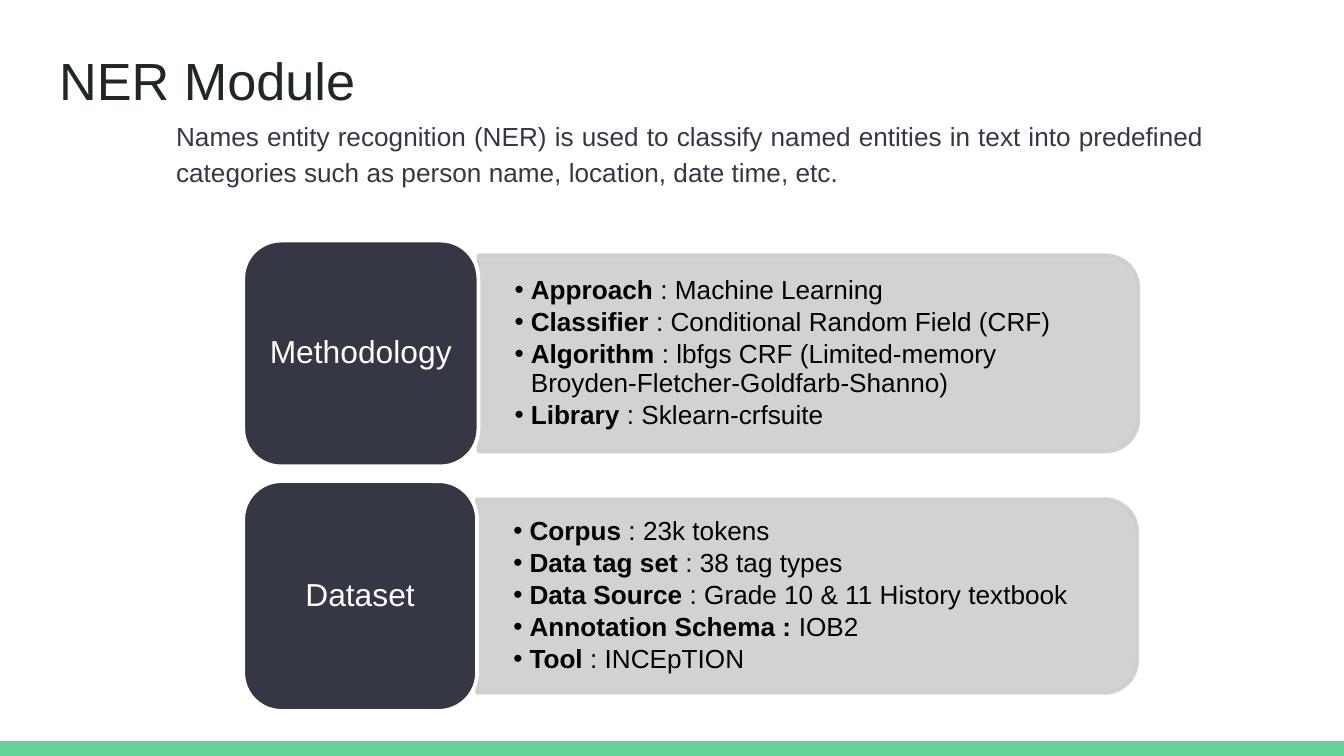
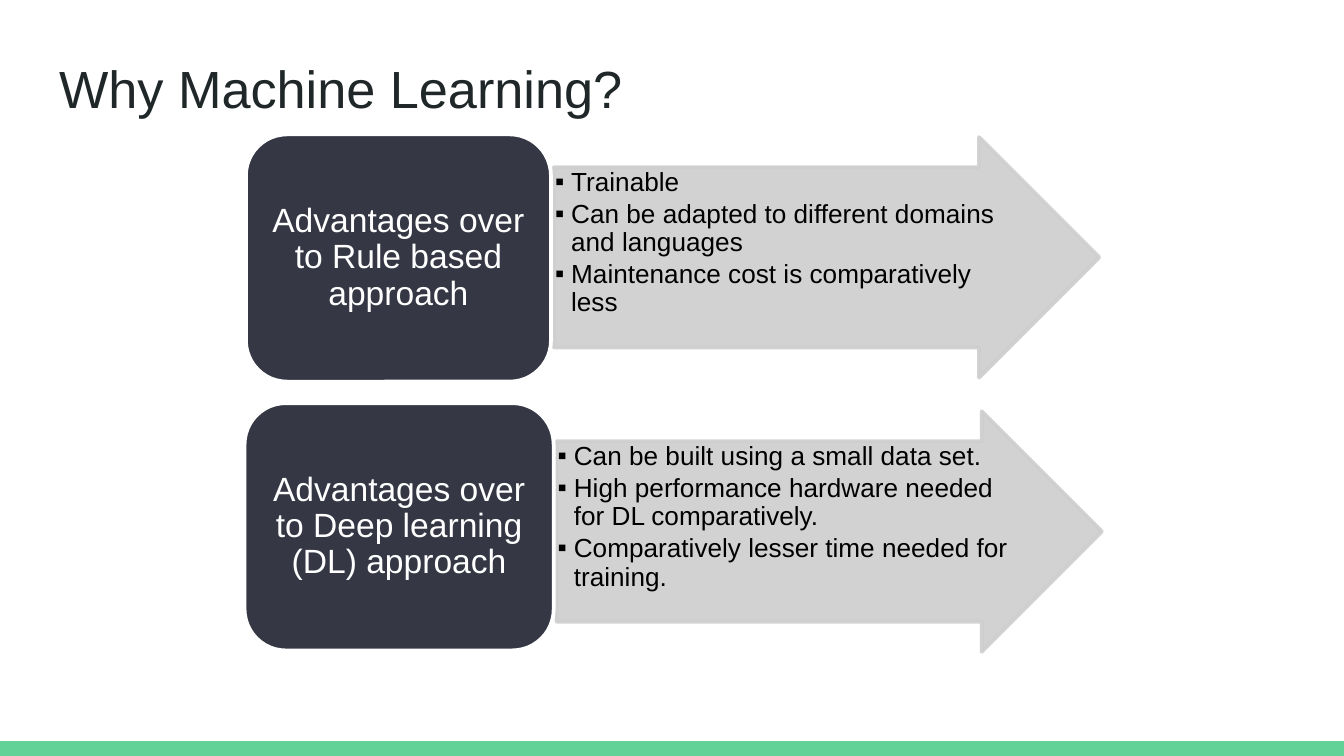
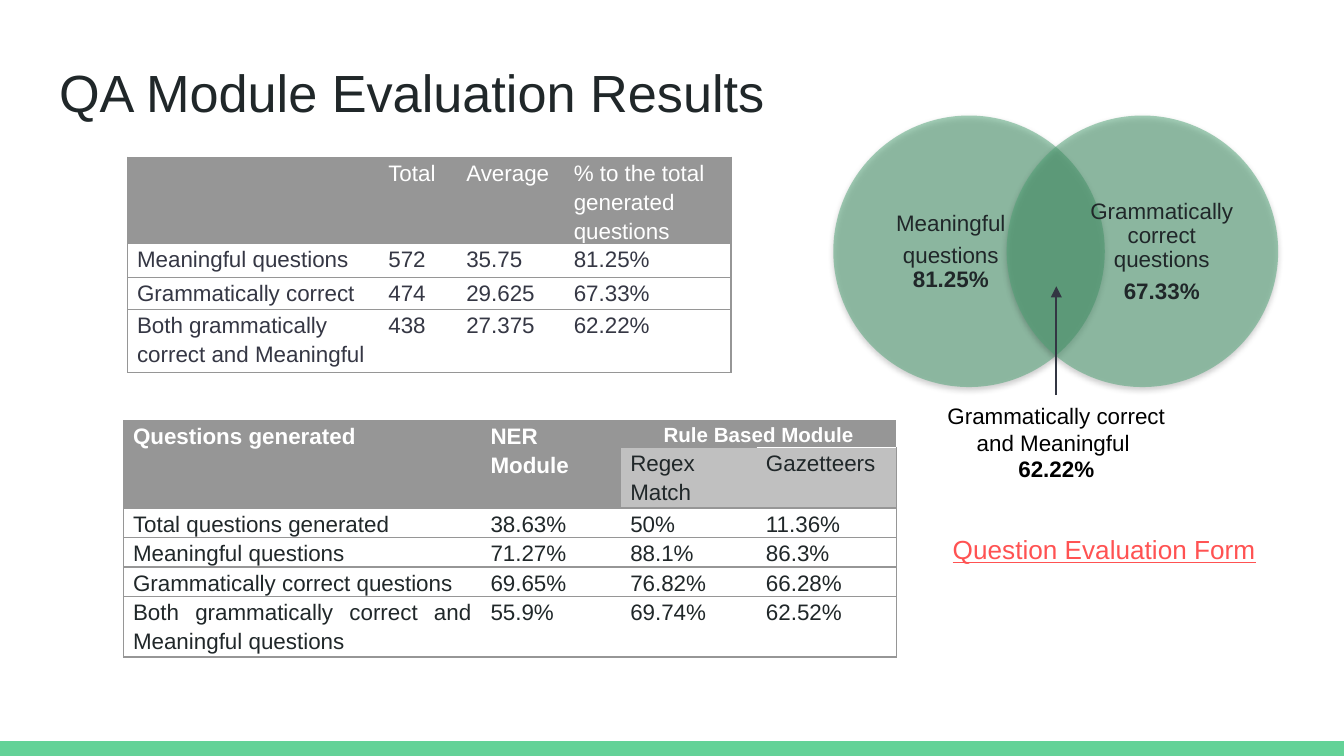
from lxml import etree
from pptx import Presentation
from pptx.dml.color import RGBColor
from pptx.enum.shapes import MSO_CONNECTOR, MSO_SHAPE
from pptx.enum.text import MSO_ANCHOR, MSO_AUTO_SIZE, PP_ALIGN
from pptx.oxml.ns import qn
from pptx.util import Inches, Pt

LEFT, MID, JUST = PP_ALIGN.LEFT, PP_ALIGN.CENTER, PP_ALIGN.JUSTIFY
TOP, CENTER = MSO_ANCHOR.TOP, MSO_ANCHOR.MIDDLE
RECT, OVAL, ARROW = MSO_SHAPE.RECTANGLE, MSO_SHAPE.OVAL, MSO_SHAPE.RIGHT_ARROW
ROUND, HALF = MSO_SHAPE.ROUNDED_RECTANGLE, MSO_SHAPE.ROUND_2_SAME_RECTANGLE

FONT = "Arial"
WIDE, HIGH = 10, 5.625
COLORS = dict(band="63D297", title="202729", navy="353744", panel="CECECF",
              white="FFFFFF", black="000000", head="969696", sub="C0C0C0",
              green="4BA173", arrow="333643", link="FF5252")

INTRO = ("Names entity recognition (NER) is used to classify named entities in text "
         "into predefined categories such as person name, location, date time, etc.")
PARTS = [
    ("Methodology", (1.81, 1.79, 1.75, 1.68), 1.46,
     ["*Approach* : Machine Learning",
      "*Classifier* : Conditional Random Field (CRF)",
      "*Algorithm* : lbfgs CRF (Limited-memory Broyden-Fletcher-Goldfarb-Shanno)",
      "*Library* : Sklearn-crfsuite"]),
    ("Dataset", (1.81, 3.58, 1.74, 1.71), 1.44,
     ["*Corpus* : 23k tokens",
      "*Data tag set* : 38 tag types",
      "*Data Source* : Grade 10 & 11 History textbook",
      "*Annotation Schema :* IOB2",
      "*Tool* : INCEpTION"]),
]
GAINS = [
    ("Advantages over to Rule based approach", (1.83, 1, 2.27, 1.84), 1.02,
     ["Trainable",
      "Can be adapted to different domains and languages",
      "Maintenance cost is comparatively less"]),
    ("Advantages over to Deep learning (DL) approach", (1.82, 3, 2.3, 1.84), 3.06,
     ["Can be built using a small data set.",
      "High performance hardware needed for DL comparatively.",
      "Comparatively lesser time needed for training."]),
]
TOTALS = [
    ["", "Total", "Average", "% to the total generated questions"],
    ["Meaningful questions", "572", "35.75", "81.25%"],
    ["Grammatically correct", "474", "29.625", "67.33%"],
    ["Both grammatically correct and Meaningful", "438", "27.375", "62.22%"],
]
RATES = [
    ["*Questions generated*", "*NER Module*", "*Rule Based Module*", ""],
    ["", "", "Regex Match", "Gazetteers"],
    ["Total questions generated", "38.63%", "50%", "11.36%"],
    ["Meaningful questions", "71.27%", "88.1%", "86.3%"],
    ["Grammatically correct questions", "69.65%", "76.82%", "66.28%"],
    ["Both grammatically correct and Meaningful questions", "55.9%", "69.74%", "62.52%"],
]
RINGS = [
    (6.2, 6.49, ["Meaningful", "questions *81.25%*"]),
    (7.49, 8.06, ["Grammatically correct questions", "*67.33%*"]),
]
SHARED = "Grammatically correct and Meaningful \n*62.22%*"
FORM = "Question Evaluation Form"


def rgb(name):
    return RGBColor.from_string(COLORS[name])


def node(parent, tag, **attrs):
    item = etree.SubElement(parent, qn("a:" + tag))
    for key, value in attrs.items():
        item.set(key, str(value))
    return item


def paint(fill, color, alpha=100):
    fill.solid()
    fill.fore_color.rgb = rgb(color)
    if alpha < 100:
        node(fill._xPr.find(".//" + qn("a:srgbClr")), "alpha", val=alpha * 1000)


def pad(item, across, down):
    item.margin_left = item.margin_right = Inches(across)
    item.margin_top = item.margin_bottom = Inches(down)


def write(frame, lines, size=14, color="black", align=LEFT, gap=1.0, after=0,
          bullet=None, indent=0, under=None):
    for i, line in enumerate(lines):
        para = frame.paragraphs[0] if i == 0 else frame.add_paragraph()
        para.alignment, para.line_spacing = align, gap
        para.space_before, para.space_after = Pt(0), Pt(after)
        props = para._p.get_or_add_pPr()
        props.set("marL", str(Inches(indent)))
        props.set("indent", str(Inches(-indent if bullet else 0)))
        if bullet:
            node(node(props, "buClr"), "srgbClr", val=COLORS[color])
            node(props, "buFont", typeface=FONT)
            node(props, "buChar", char=bullet)
        else:
            node(props, "buNone")
        for k, part in enumerate(line.split("*")):
            for j, piece in enumerate(part.split("\n")):
                if j:
                    para.add_line_break()
                if piece:
                    run = para.add_run()
                    run.text = piece
                    run.font.name, run.font.size = FONT, Pt(size)
                    run.font.bold, run.font.underline = k % 2 == 1, under
                    run.font.color.rgb = rgb(color)


def place(item, box):
    item.left, item.top, item.width, item.height = map(Inches, box)


def fit(item, lines, pads=(0.1, 0.05), anchor=TOP, **style):
    frame = item.text_frame
    frame.word_wrap, frame.auto_size = True, MSO_AUTO_SIZE.NONE
    frame.vertical_anchor = anchor
    pad(frame, *pads)
    write(frame, lines, **style)
    return item


def label(slide, box, lines, **style):
    return fit(slide.shapes.add_textbox(*map(Inches, box)), lines, **style)


def shape(slide, kind, box, fill, edge=None, alpha=100):
    item = slide.shapes.add_shape(kind, *map(Inches, box))
    paint(item.fill, fill, alpha)
    if edge:
        paint(item.line.fill, edge, alpha)
        item.line.width = Pt(2)
    else:
        item.line.fill.background()
    item.shadow.inherit = False
    return item


def start(prs, layout, title, top):
    slide = prs.slides.add_slide(prs.slide_layouts[layout])
    place(slide.shapes.title, (0.34, top, 9.32, 0.63))
    fit(slide.shapes.title, [title], pads=(0.1, 0.1), size=28, color="title")
    return slide


def tag(slide, box, text, size):
    fit(shape(slide, ROUND, box, "navy", "white"), [text], pads=(0.07, 0.04),
        anchor=CENTER, size=size, color="white", align=MID, gap=0.9, after=size * 0.35)


def edges(cell, sides):
    props = cell._tc.get_or_add_tcPr()
    for i, (side, color) in enumerate(zip("LRTB", sides)):
        line = etree.Element(qn("a:ln" + side), w=str(Pt(0.75)))
        if color:
            node(node(line, "solidFill"), "srgbClr", val=COLORS[color])
        else:
            node(line, "noFill")
        props.insert(i, line)


def grid(slide, data, spot, cols, rows, look, spans=()):
    size = (sum(cols), sum(rows))
    table = slide.shapes.add_table(len(rows), len(cols), *map(Inches, spot + size)).table
    table.first_row = table.horz_banding = False
    for col, width in zip(table.columns, cols):
        col.width = Inches(width)
    for row, height in zip(table.rows, rows):
        row.height = Inches(height)
    for first, last in spans:
        table.cell(*first).merge(table.cell(*last))
    for r, line in enumerate(data):
        for c, text in enumerate(line):
            cell = table.cell(r, c)
            fill, top, style = look(r, c)
            pad(cell, 0.07, 0)
            write(cell.text_frame, [text], gap=1.15, **style)
            paint(cell.fill, fill)
            edges(cell, ("head" if c == 0 else None,
                         "head" if c == len(cols) - 1 else None, top, "head"))


def total_look(r, c):
    head = r == 0
    return ("head" if head else "white", "head",
            dict(size=12, color="white" if head else "navy"))


def rate_look(r, c):
    sub = r == 1 and c > 1
    head = r < 2 and not sub
    wide = r == 0 and c > 1
    return ("sub" if sub else "head" if head else "white",
            "white" if sub and c == 3 else "head",
            dict(size=11 if wide else 12, color="white" if head else "title",
                 align=MID if wide else JUST))


def module(prs):
    slide = start(prs, 1, "NER Module", 0.26)
    body = slide.placeholders[1]
    place(body, (0.56, 0.76, 8.5, 4.47))
    fit(body, [INTRO], pads=(0.1, 0.1), color="navy", align=JUST, gap=1.15, indent=0.65)
    for name, box, tall, items in PARTS:
        left, top, width, height = box
        edge, mid, long = left + width, top + height / 2, 4.91
        panel = shape(slide, HALF, (edge + (long - tall) / 2, mid - long / 2, tall, long),
                      "panel", "panel", 90)
        panel.rotation = 90
        deep = tall - 0.14
        label(slide, (edge, mid - deep / 2, long - 0.07, deep), items, pads=(0.27, 0.14),
              anchor=CENTER, gap=0.9, after=2.1, bullet="•", indent=0.12)
        tag(slide, box, name, 17)
    return slide


def reasons(prs):
    slide = start(prs, 5, "Why Machine Learning?", 0.32)
    for name, box, top, items in GAINS:
        arrow = shape(slide, ARROW, (box[0] + box[2] + 0.02, top, 4.06, 1.79),
                      "panel", "panel", 90)
        arrow.adjustments[0], arrow.adjustments[1] = 0.75, 0.5
        fit(arrow, items, pads=(0.01, 0.01), gap=0.9, after=2.1, bullet="▪", indent=0.12)
        tag(slide, box, name, 18)


def results(prs):
    slide = start(prs, 5, "QA Module Evaluation Results", 0.35)
    grid(slide, TOTALS, (0.95, 1.17), (1.87, 0.58, 0.8, 1.24),
         (0.61, 0.25, 0.24, 0.47), total_look)
    for left, inner, lines in RINGS:
        ring = shape(slide, OVAL, (left, 0.86, 2.02, 2.02), "green", alpha=50)
        glow = node(ring.element.spPr.find(qn("a:effectLst")), "outerShdw", blurRad=Pt(3.1),
                    dist=Pt(1.6), dir=90 * 60000, rotWithShape=0)
        node(node(glow, "srgbClr", val=COLORS["black"]), "alpha", val=38000)
        label(slide, (inner, 1.1, 1.17, 1.55), lines, pads=(0, 0), anchor=CENTER,
              size=12, color="title", align=MID, gap=0.9, after=4.2)
    note = label(slide, (6.79, 2.94, 2.14, 0.71), [SHARED], size=12, align=MID)
    line = slide.shapes.add_connector(MSO_CONNECTOR.STRAIGHT, *map(Inches, (7.86, 2.94, 7.86, 2.13)))
    line.begin_connect(note, 0)
    line.line.color.rgb, line.line.width = rgb("arrow"), Pt(1)
    node(line.element.spPr.find(qn("a:ln")), "tailEnd", type="triangle")
    node(line.element.spPr, "effectLst")
    grid(slide, RATES, (0.92, 3.13), (2.66, 1.04, 1.01, 1.04),
         (0.2, 0.45, 0.22, 0.22, 0.22, 0.45), rate_look,
         [((0, 0), (1, 0)), ((0, 1), (1, 1)), ((0, 2), (0, 3))])
    label(slide, (6.99, 3.92, 2.48, 0.57), [FORM], color="link", under=True)


def main():
    prs = Presentation()
    prs.slide_width, prs.slide_height = Inches(WIDE), Inches(HIGH)
    slide = module(prs)
    band = shape(slide, RECT, (0, HIGH - 0.11, WIDE, 0.11), "band")
    band.element.nvSpPr.cNvPr.set("id", "99")
    prs.slide_master.shapes.element.append(band.element)
    reasons(prs)
    results(prs)
    prs.save("out.pptx")


if __name__ == "__main__":
    main()
